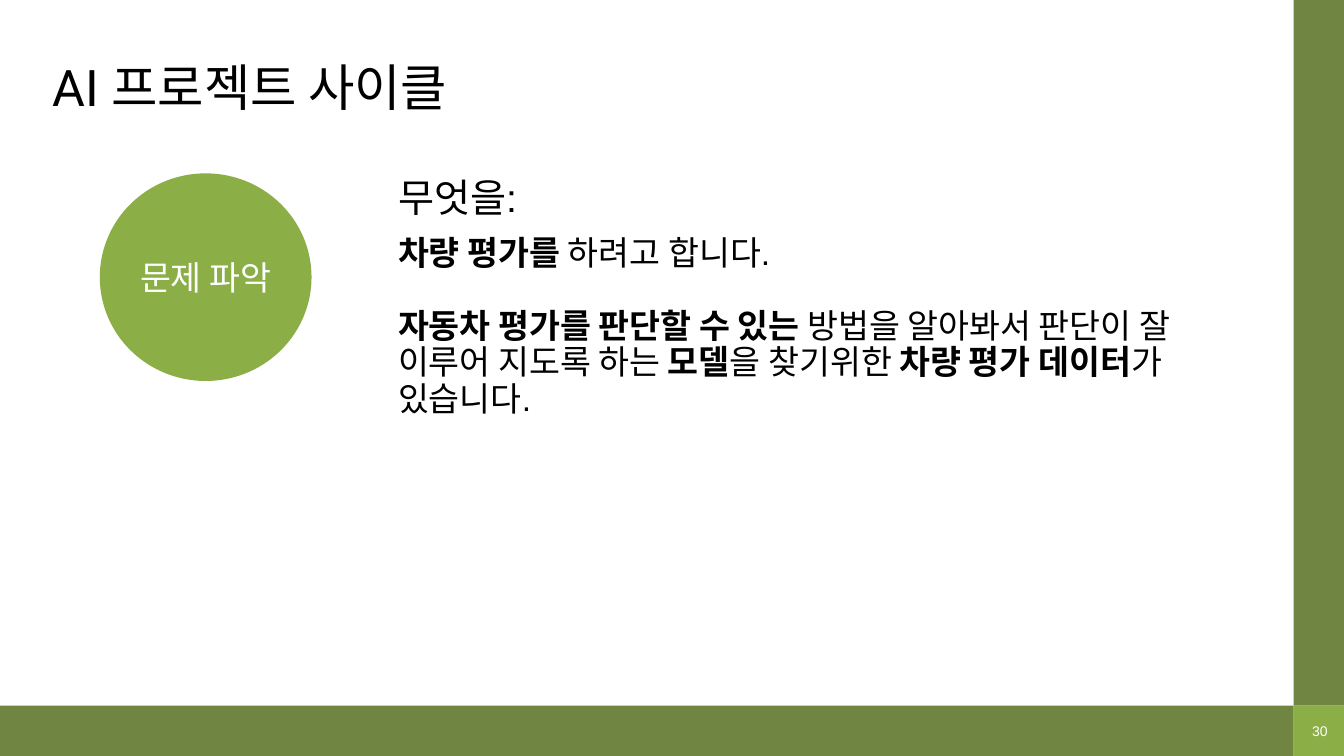
from pptx import Presentation
from pptx.dml.color import RGBColor
from pptx.enum.shapes import MSO_SHAPE
from pptx.enum.text import MSO_ANCHOR, PP_ALIGN
from pptx.util import Inches, Pt

RECTANGLE, OVAL = MSO_SHAPE.RECTANGLE, MSO_SHAPE.OVAL
TOP, MIDDLE = MSO_ANCHOR.TOP, MSO_ANCHOR.MIDDLE
LEFT, CENTER = PP_ALIGN.LEFT, PP_ALIGN.CENTER

COLORS = {"band": "708541", "accent": "8BAE46", "light": "FFFFFF", "dark": "000000"}
WIDTH, HEIGHT, BAND = 13.33, 7.5, 0.5

TITLE = "AI 프로젝트 사이클"
STAGE = "문제 파악"
HEADING = "무엇을:"
GOAL = [("차량 평가를 ", True), ("하려고 합니다.", False)]
METHOD = [
    ("자동차 평가를 판단할 수 있는 ", True),
    ("방법을 알아봐서 판단이 잘 이루어 지도록 하는 ", False),
    ("모델", True),
    ("을 찾기위한 ", False),
    ("차량 평가 데이터", True),
    ("가 있습니다.", False),
]


def apply_format(target, values):
    for name, value in values.items():
        setattr(target, name, value)


def add_filled_shape(slide, kind, box, color):
    shape = slide.shapes.add_shape(kind, *map(Inches, box))
    shape.shadow.inherit = False
    shape.fill.solid()
    shape.fill.fore_color.rgb = RGBColor.from_string(COLORS[color])
    shape.line.fill.background()


def add_text(slide, box, paragraphs, size, color="dark", font="Arial", anchor=TOP,
             alignment=LEFT, margins=(0.1, 0.05), line_spacing=0.9, gap=0, wrap=True):
    frame = slide.shapes.add_textbox(*map(Inches, box)).text_frame
    horizontal, vertical = map(Inches, margins)
    apply_format(frame, {
        "word_wrap": wrap, "vertical_anchor": anchor,
        "margin_left": horizontal, "margin_right": horizontal,
        "margin_top": vertical, "margin_bottom": vertical,
    })
    for index, runs in enumerate(paragraphs):
        paragraph = frame.add_paragraph() if index else frame.paragraphs[0]
        apply_format(paragraph, {
            "alignment": alignment, "line_spacing": line_spacing,
            "space_before": Pt(gap if index else 0),
        })
        for text, bold in runs:
            run = paragraph.add_run()
            run.text = text
            apply_format(run.font, {"name": font, "size": Pt(size), "bold": bold})
            run.font.color.rgb = RGBColor.from_string(COLORS[color])


def add_frame(slide, width, height):
    right, bottom = width - BAND, height - BAND
    add_filled_shape(slide, RECTANGLE, (0, bottom, right, BAND), "band")
    add_filled_shape(slide, RECTANGLE, (right, 0, BAND, bottom), "band")
    add_filled_shape(slide, RECTANGLE, (right, bottom, BAND, BAND), "accent")
    add_text(slide, (right + 0.18, bottom + 0.17, 0.16, 0.17), [[("30", False)]], 10,
             "light", alignment=CENTER, margins=(0, 0), line_spacing=1, wrap=False)


def add_stage(slide, left, top, width, height):
    add_filled_shape(slide, OVAL, (left, top, width, height), "accent")
    label_width, label_height = 1.62, 0.78
    label = (left + (width - label_width) / 2, top + (height - label_height) / 2,
             label_width, label_height)
    add_text(slide, label, [[(STAGE, False)]], 24, "light", anchor=MIDDLE,
             alignment=CENTER, margins=(0.13, 0.13), line_spacing=1)


def add_description(slide, left, top, width, height):
    heading_height = 0.58
    add_text(slide, (left, top, 7.92, heading_height), [[(HEADING, False)]], 28)
    add_text(slide, (left, top + heading_height, width, height - heading_height),
             [GOAL, METHOD], 24, gap=26)


def add_cycle_slide(presentation):
    slide = presentation.slides.add_slide(presentation.slide_layouts[6])
    add_frame(slide, WIDTH, HEIGHT)
    add_text(slide, (0.42, 0.24, 8.74, 1.31), [[(TITLE, False)]], 36,
             font="Roboto", anchor=MIDDLE)
    add_stage(slide, 0.99, 1.72, 2.1, 2.06)
    add_description(slide, 3.85, 1.72, 8.74, 5.12)


def main():
    presentation = Presentation()
    apply_format(presentation, {"slide_width": Inches(WIDTH), "slide_height": Inches(HEIGHT)})
    add_cycle_slide(presentation)
    presentation.save("out.pptx")


if __name__ == "__main__":
    main()
